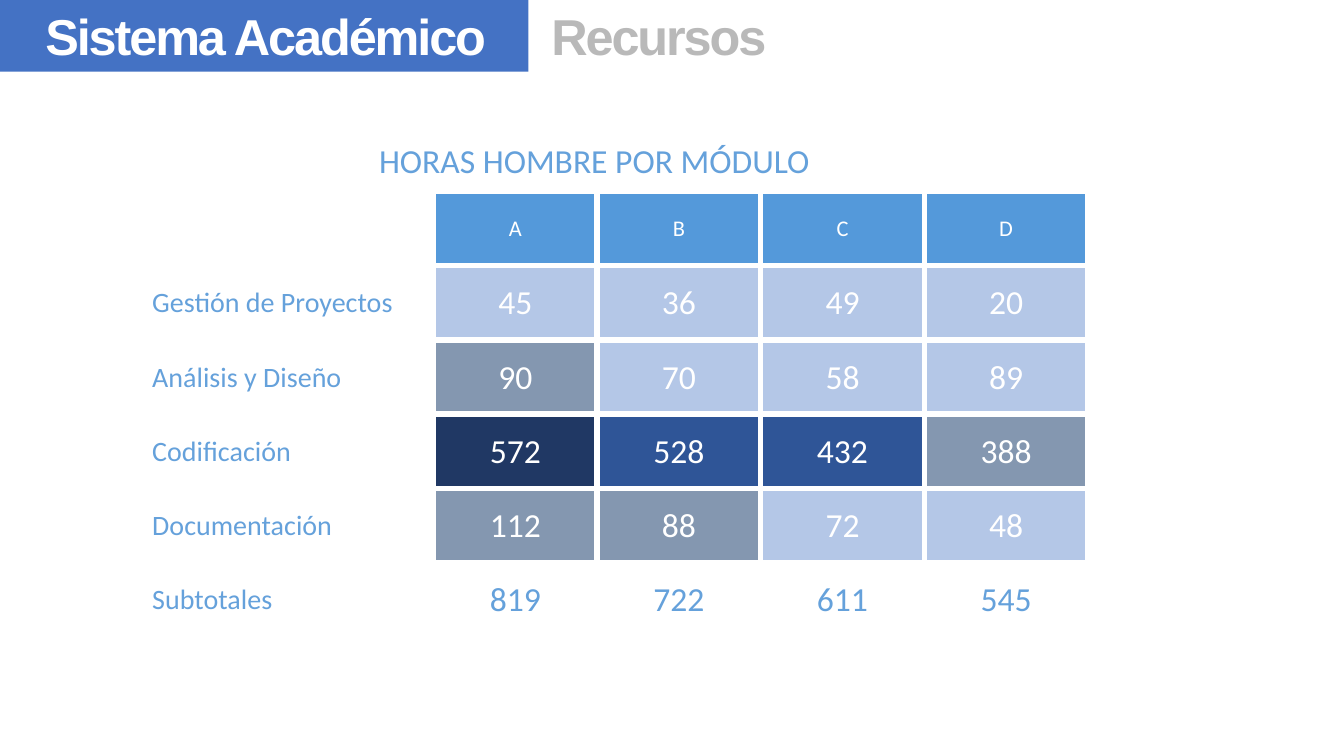
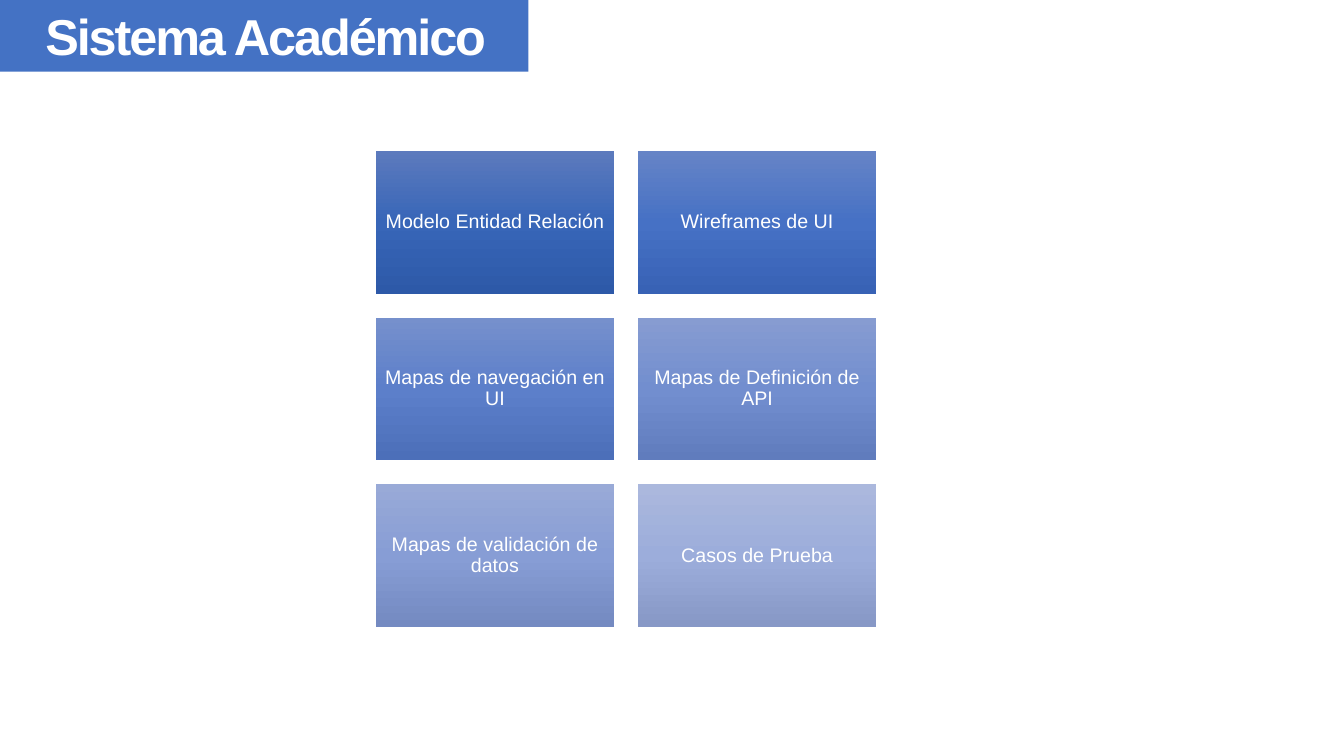
from copy import deepcopy

from lxml.etree import SubElement
from pptx import Presentation
from pptx.dml.color import RGBColor
from pptx.enum.shapes import MSO_SHAPE as Preset
from pptx.enum.text import MSO_ANCHOR as Anchor, MSO_AUTO_SIZE as AutoSize, PP_ALIGN as Align
from pptx.oxml.ns import qn
from pptx.util import Inches, Pt

SLIDE_WIDTH, SLIDE_HEIGHT = 13.33, 7.5
BAND_BOX = (0, 0, 5.24, 0.71)
SUBTITLE_BOX = (5.37, 0, 4.8, 0.71)
WHITE, BAND_BLUE, GRAY = "FFFFFF", "4472C4", "B9B9B9"
TABLE_TEXT, HEADER_FILL = "65A1DB", "5499DA"
SHADES = {"light": "B4C7E7", "gray": "8497B0", "blue": "2F5597", "navy": "203864"}

MODULES = ["A", "B", "C", "D"]
HOURS = {
    "Gestión de Proyectos": [(45, "light"), (36, "light"), (49, "light"), (20, "light")],
    "Análisis y Diseño": [(90, "gray"), (70, "light"), (58, "light"), (89, "light")],
    "Codificación": [(572, "navy"), (528, "blue"), (432, "blue"), (388, "gray")],
    "Documentación": [(112, "gray"), (88, "gray"), (72, "light"), (48, "light")],
}
DELIVERABLES = [
    ("Modelo Entidad Relación", ("5C7ABD", "3866B8", "2D59A8")),
    ("Wireframes de UI", ("6684C6", "4671C5", "3862B5")),
    ("Mapas de navegación en UI", ("7690CC", "5C7FCA", "4C6FB9")),
    ("Mapas de Definición de API", ("879CD1", "728ECF", "607CBD")),
    ("Mapas de validación de datos", ("99AAD7", "879DD5", "748AC1")),
    ("Casos de Prueba", ("ABB8DD", "9CADDB", "8798C6")),
]


def paint(fill, color):
    fill.solid()
    fill.fore_color.rgb = RGBColor.from_string(color)


def place(shape, box):
    shape.left, shape.top, shape.width, shape.height = map(Inches, box)


def add_run(paragraph, text, size, color, font="Arial", bold=False):
    run = paragraph.add_run()
    run.text = text
    run.font.name, run.font.size, run.font.bold = font, Pt(size), bold
    run.font.color.rgb = RGBColor.from_string(color)
    return run


def write_heading(shape, text, color, inset):
    frame = shape.text_frame
    frame.word_wrap, frame.auto_size = True, AutoSize.NONE
    frame.vertical_anchor = Anchor.MIDDLE
    frame.margin_left = Inches(inset)
    frame.margin_top = frame.margin_bottom = Inches(0.05)
    paragraph = frame.paragraphs[0]
    paragraph.alignment = Align.LEFT
    run = add_run(paragraph, text, 36, color, bold=True)
    run.font._element.set("spc", "-150")


def add_titled_slide(presentation, subtitle=None):
    """Add a slide whose title is the blue band, with an optional gray subtitle."""
    slide = presentation.slides.add_slide(presentation.slide_layouts.get_by_name("Title Only"))
    title = slide.shapes.title
    place(title, BAND_BOX)
    paint(title.fill, BAND_BLUE)
    write_heading(title, "Sistema Académico", WHITE, 0.45)
    if subtitle:
        textbox = slide.shapes.add_textbox(*map(Inches, SUBTITLE_BOX))
        write_heading(textbox, subtitle, GRAY, 0.1)
    return slide


def set_borders(cell, color, width):
    properties = cell._tc.get_or_add_tcPr()
    for index, side in enumerate(("lnL", "lnR", "lnT", "lnB")):
        line = SubElement(properties, qn(f"a:{side}"), w=str(Pt(width)))
        SubElement(SubElement(line, qn("a:solidFill")), qn("a:srgbClr"), val=color)
        properties.insert(index, line)


def write_cell(cell, text, size, color, fill=WHITE, indent=None):
    """Fill a cell with centred text, or left-aligned text if an indent is given."""
    cell.vertical_anchor = Anchor.MIDDLE
    cell.margin_left = Inches(indent or 0.01)
    cell.margin_right = cell.margin_top = Inches(0.01)
    cell.margin_bottom = 0
    paint(cell.fill, fill)
    set_borders(cell, WHITE, 4.5)
    paragraph = cell.text_frame.paragraphs[0]
    paragraph.alignment = Align.LEFT if indent else Align.CENTER
    if text:
        add_run(paragraph, text, size, color, "Calibri")


def add_hours_table(slide, box, label_width, caption_height):
    left, top, width, height = box
    row_count, column_count = len(HOURS) + 3, len(MODULES) + 1
    table = slide.shapes.add_table(row_count, column_count, *map(Inches, box)).table
    table.first_row = table.horz_banding = False
    for index, column in enumerate(table.columns):
        column.width = Inches((width - label_width) / len(MODULES) if index else label_width)
    for index, row in enumerate(table.rows):
        row.height = Inches((height - caption_height) / (row_count - 1) if index else caption_height)

    table.cell(0, 0).merge(table.cell(0, column_count - 1))
    write_cell(table.cell(0, 0), "HORAS HOMBRE POR MÓDULO", 24, TABLE_TEXT)
    write_cell(table.cell(1, 0), "", 16, WHITE)
    for column, module in enumerate(MODULES, 1):
        write_cell(table.cell(1, column), module, 16, WHITE, HEADER_FILL)
    for row, (activity, entries) in enumerate(HOURS.items(), 2):
        write_cell(table.cell(row, 0), activity, 20, TABLE_TEXT, indent=0.51)
        for column, (hours, shade) in enumerate(entries, 1):
            write_cell(table.cell(row, column), str(hours), 24, WHITE, SHADES[shade])
    last = row_count - 1
    write_cell(table.cell(last, 0), "Subtotales", 20, TABLE_TEXT, indent=0.51)
    for column, entries in enumerate(zip(*HOURS.values()), 1):
        subtotal = sum(hours for hours, _ in entries)
        write_cell(table.cell(last, column), str(subtotal), 24, TABLE_TEXT)


def paint_gradient(shape, colors):
    """Shade a shape from top to bottom through three colours."""
    shape.fill.gradient()
    shape.fill.gradient_angle = 270
    stop_list = shape.element.find(".//" + qn("a:gsLst"))
    stop_list.insert(1, deepcopy(stop_list[0]))
    for stop, position, color in zip(shape.fill.gradient_stops, (0, 0.5, 1), colors):
        stop.position = position
        stop.color.rgb = RGBColor.from_string(color)


def add_tile(slide, box, text, colors):
    tile = slide.shapes.add_shape(Preset.RECTANGLE, *map(Inches, box))
    tile.shadow.inherit = False
    tile.line.fill.background()
    paint_gradient(tile, colors)
    frame = tile.text_frame
    frame.word_wrap, frame.vertical_anchor = True, Anchor.MIDDLE
    frame.margin_left = frame.margin_right = Inches(0.06)
    frame.margin_top = frame.margin_bottom = Inches(0.06)
    paragraph = frame.paragraphs[0]
    paragraph.alignment, paragraph.line_spacing = Align.CENTER, 0.9
    add_run(paragraph, text, 14, WHITE)


def add_tile_grid(slide, box, columns, gap):
    left, top, width, height = box
    rows = -(-len(DELIVERABLES) // columns)
    tile_width = (width - gap * (columns - 1)) / columns
    tile_height = (height - gap * (rows - 1)) / rows
    for index, (text, colors) in enumerate(DELIVERABLES):
        row, column = divmod(index, columns)
        tile_box = (left + column * (tile_width + gap), top + row * (tile_height + gap),
                    tile_width, tile_height)
        add_tile(slide, tile_box, text, colors)


def main():
    presentation = Presentation()
    presentation.slide_width = Inches(SLIDE_WIDTH)
    presentation.slide_height = Inches(SLIDE_HEIGHT)
    resources = add_titled_slide(presentation, "Recursos")
    add_hours_table(resources, (1, 1.31, 9.79, 5.01), label_width=3.3, caption_height=0.59)
    deliverables = add_titled_slide(presentation)
    add_tile_grid(deliverables, (3.73, 1.5, 4.96, 4.72), columns=2, gap=0.24)
    presentation.save("out.pptx")


if __name__ == "__main__":
    main()
